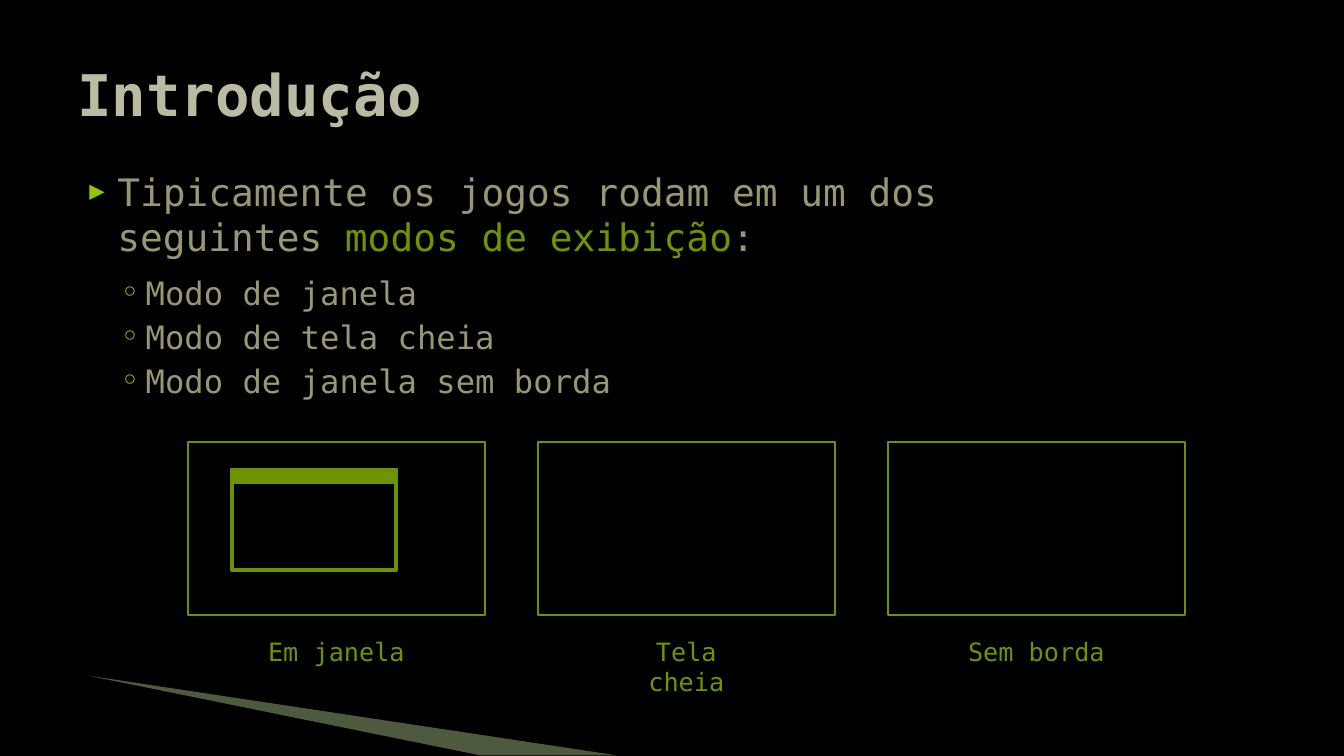
from pptx import Presentation
from pptx.dml.color import RGBColor
from pptx.enum.shapes import MSO_SHAPE as Shape
from pptx.enum.text import MSO_ANCHOR as Anchor, PP_ALIGN as Align
from pptx.oxml.ns import qn
from pptx.util import Pt
from lxml.etree import SubElement

BLACK = RGBColor(0x00, 0x00, 0x00)
TITLE_GREY = RGBColor(0xBB, 0xBA, 0xA2)
BODY_GREY = RGBColor(0x99, 0x97, 0x73)
GREEN = RGBColor(0x6F, 0x94, 0x00)
OUTLINE_GREEN = RGBColor(0x6D, 0x92, 0x00)
BULLET_GREEN = RGBColor(0x94, 0xC6, 0x00)
WEDGE_GREEN = RGBColor(0xC3, 0xE1, 0x9D)
FONT = "DejaVu Sans Mono"

MODES = ["Modo de janela", "Modo de tela cheia", "Modo de janela sem borda"]
SCREENS = ["Em janela", "Tela cheia", "Sem borda"]
SCREEN_LEFT, SCREEN_TOP, SCREEN_STEP = 134, 316, 250
SCREEN_WIDTH, SCREEN_HEIGHT = 212.5, 123
CAPTION_WIDTH = 118.8


def add_box(slide, left, top, width, height, anchor=Anchor.TOP):
    box = slide.shapes.add_textbox(Pt(left), Pt(top), Pt(width), Pt(height))
    frame = box.text_frame
    frame.word_wrap = True
    frame.vertical_anchor = anchor
    return frame


def write(paragraph, text, size, color, bold=False, align=Align.LEFT):
    """Append text to the paragraph; a newline becomes a line break."""
    paragraph.alignment = align
    for index, line in enumerate(text.split("\n")):
        if index:
            paragraph.add_line_break()
        run = paragraph.add_run()
        run.text = line
        run.font.name = FONT
        run.font.size = Pt(size)
        run.font.bold = bold
        run.font.color.rgb = color


def set_bullet(paragraph, symbol, margin, indent, percent=100, level=0, after=0):
    paragraph.level = level
    paragraph.space_before = Pt(4)
    paragraph.space_after = Pt(after)
    properties = paragraph._p.get_or_add_pPr()
    properties.set("marL", str(Pt(margin)))
    properties.set("indent", str(Pt(indent)))
    color = SubElement(properties, qn("a:buClr"))
    SubElement(color, qn("a:srgbClr"), val=str(BULLET_GREEN))
    SubElement(properties, qn("a:buSzPct"), val=str(percent * 1000))
    SubElement(properties, qn("a:buFont"), typeface=FONT)
    SubElement(properties, qn("a:buChar"), char=symbol)


def add_rectangle(slide, left, top, width, height, line_width, fill=None):
    rectangle = slide.shapes.add_shape(
        Shape.RECTANGLE, Pt(left), Pt(top), Pt(width), Pt(height))
    rectangle.shadow.inherit = False
    rectangle.line.color.rgb = OUTLINE_GREEN
    rectangle.line.width = Pt(line_width)
    if fill is None:
        rectangle.fill.background()
    else:
        rectangle.fill.solid()
        rectangle.fill.fore_color.rgb = fill


def add_wedge(slide, points, color, opacity):
    start, *others = [(Pt(x), Pt(y)) for x, y in points]
    builder = slide.shapes.build_freeform(*start)
    builder.add_line_segments(others, close=True)
    wedge = builder.convert_to_shape()
    wedge.shadow.inherit = False
    wedge.line.fill.background()
    wedge.fill.solid()
    wedge.fill.fore_color.rgb = color
    srgb = wedge.fill._xPr.find(".//" + qn("a:srgbClr"))
    SubElement(srgb, qn("a:alpha"), val=str(opacity * 1000))


def add_body(slide):
    body = add_box(slide, 48, 116.6, 864, 356.4)
    intro = body.paragraphs[0]
    set_bullet(intro, "▶", 28.8, -20, percent=68, after=6)
    write(intro, "Tipicamente os jogos rodam em um dos\nseguintes ", 27, BODY_GREY)
    write(intro, "modos de exibição", 27, GREEN)
    write(intro, ":", 27, BODY_GREY)
    for mode in MODES:
        item = body.add_paragraph()
        set_bullet(item, "◦", 49, -18, level=1)
        write(item, mode, 23, BODY_GREY)


def add_screen(slide, left, caption):
    add_rectangle(slide, left, SCREEN_TOP, SCREEN_WIDTH, SCREEN_HEIGHT, 1.5)
    caption_left = left + (SCREEN_WIDTH - CAPTION_WIDTH) / 2
    label = add_box(slide, caption_left, 450.7, CAPTION_WIDTH, 29)
    write(label.paragraphs[0], caption, 18, GREEN, align=Align.CENTER)


def main():
    deck = Presentation()
    deck.slide_width, deck.slide_height = Pt(960), Pt(540)
    slide = deck.slides.add_slide(deck.slide_layouts[6])
    slide.background.fill.solid()
    slide.background.fill.fore_color.rgb = BLACK

    add_wedge(slide, [(62.5, 482.5), (440.5, 539.5), (343, 539.5)], WEDGE_GREEN, 40)
    add_body(slide)
    title = add_box(slide, 48, 21.6, 864, 90, anchor=Anchor.MIDDLE)
    write(title.paragraphs[0], "Introdução", 41, TITLE_GREY, bold=True)

    for index, caption in enumerate(SCREENS):
        add_screen(slide, SCREEN_LEFT + index * SCREEN_STEP, caption)
    add_rectangle(slide, 165.5, 335.5, 117.5, 71.5, 3)
    add_rectangle(slide, 165.5, 335.5, 117.5, 8.6, 3, fill=GREEN)

    deck.save("out.pptx")


if __name__ == "__main__":
    main()
